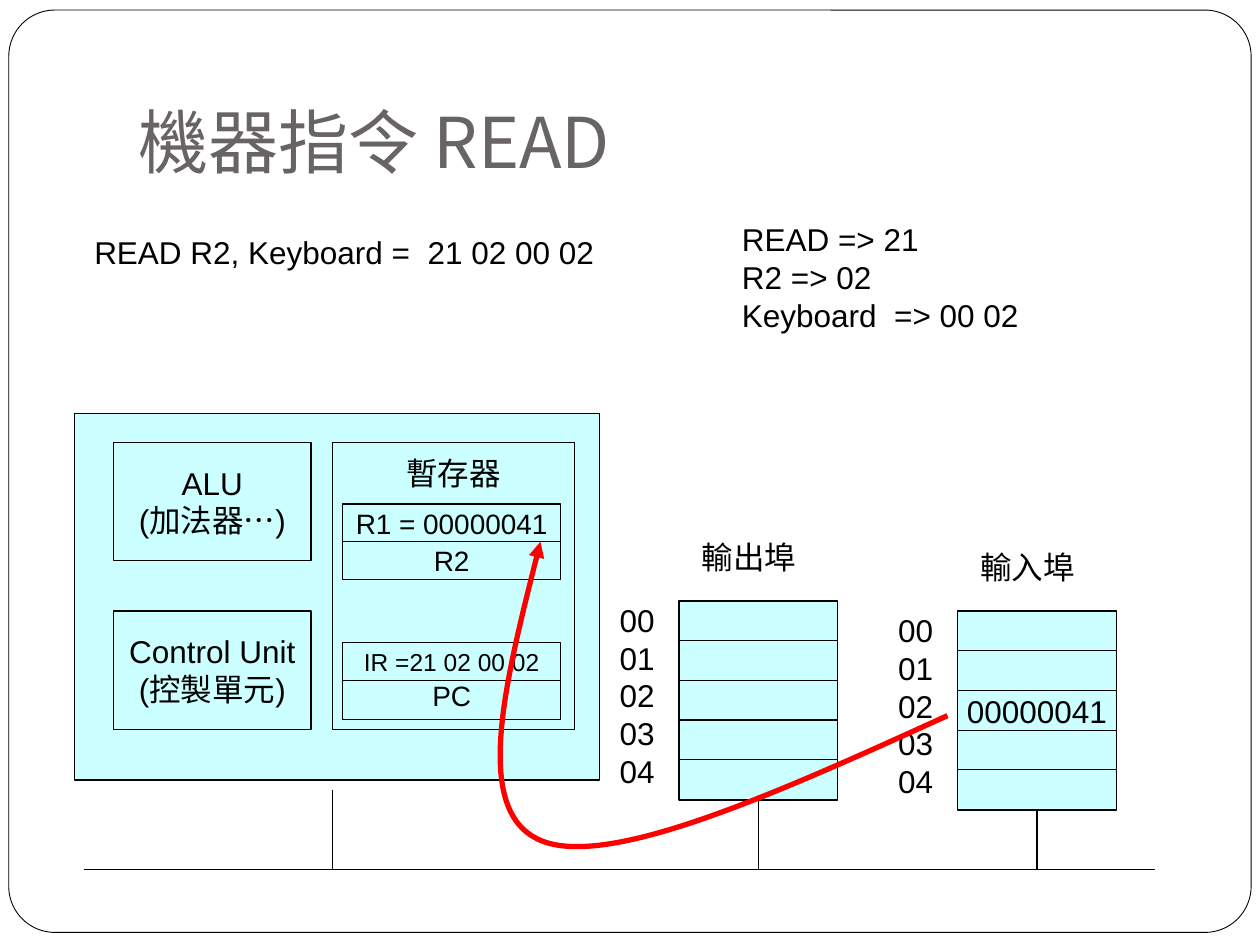
"""Build a slide showing how the READ machine instruction moves data from an input port."""
from lxml import etree
from pptx import Presentation
from pptx.dml.color import RGBColor
from pptx.enum.shapes import MSO_CONNECTOR, MSO_SHAPE
from pptx.enum.text import MSO_ANCHOR, PP_ALIGN
from pptx.oxml.ns import qn
from pptx.util import Inches, Pt

RECTANGLE, ROUNDED = MSO_SHAPE.RECTANGLE, MSO_SHAPE.ROUNDED_RECTANGLE
STRAIGHT = MSO_CONNECTOR.STRAIGHT
TOP, MIDDLE, BOTTOM = MSO_ANCHOR.TOP, MSO_ANCHOR.MIDDLE, MSO_ANCHOR.BOTTOM
LEFT, CENTER = PP_ALIGN.LEFT, PP_ALIGN.CENTER
BLACK = RGBColor(0x00, 0x00, 0x00)
GRAY = RGBColor(0x69, 0x64, 0x64)
CYAN = RGBColor(0xCC, 0xFF, 0xFF)
RED = RGBColor(0xFF, 0x00, 0x00)
LATIN_FONT, CJK_FONT = "Arial", "Noto Sans CJK SC"
BOTTOM_SIDE = 2
BUS_Y = 6.9
CELL_WIDTH, CELL_HEIGHT, CELL_STEP = 1.26, 0.32, 0.315


def write_text(shape, text, size=18, color=BLACK, font=LATIN_FONT, align=LEFT, anchor=TOP,
               wrap=False, margin_top=0.05):
    """Fill a shape with one paragraph per line of text."""
    frame = shape.text_frame
    frame.word_wrap = wrap
    frame.vertical_anchor = anchor
    frame.margin_top = Inches(margin_top)
    frame.text = text
    for paragraph in frame.paragraphs:
        paragraph.alignment = align
        for run in paragraph.runs:
            run.font.size = Pt(size)
            run.font.name = font
            run.font.color.rgb = color
            east_asian = etree.SubElement(run.font._element, qn("a:ea"))
            east_asian.set("typeface", CJK_FONT)


class Diagram:
    """Hold the line style and the current slide."""

    def __init__(self, slide, line_width=0.75):
        """Keep the slide and the common outline width."""
        self.slide = slide
        self.line_width = line_width

    def box(self, left, top, width, height, text="", fill=CYAN, kind=RECTANGLE, **text_format):
        """Add an outlined shape, with centred text if given."""
        shape = self.slide.shapes.add_shape(
            kind, Inches(left), Inches(top), Inches(width), Inches(height))
        shape.shadow.inherit = False
        if fill is None:
            shape.fill.background()
        else:
            shape.fill.solid()
            shape.fill.fore_color.rgb = fill
        shape.line.color.rgb = BLACK
        shape.line.width = Pt(self.line_width)
        if text:
            write_text(shape, text, **{"align": CENTER, "anchor": MIDDLE, **text_format})
        return shape

    def label(self, left, top, width, height, text, **text_format):
        """Add a text box."""
        shape = self.slide.shapes.add_textbox(
            Inches(left), Inches(top), Inches(width), Inches(height))
        write_text(shape, text, **text_format)

    def line(self, start, end, source=None):
        """Add a straight line, joined to the bottom of a source shape if given."""
        connector = self.slide.shapes.add_connector(STRAIGHT, *map(Inches, start + end))
        connector.line.color.rgb = BLACK
        connector.line.width = Pt(self.line_width)
        if source is not None:
            connector.begin_connect(source, BOTTOM_SIDE)
        etree.SubElement(connector._element.spPr, qn("a:effectLst"))

    def curved_arrow(self, points, color, width):
        """Add a cubic curve through every third point, with an arrowhead at its start."""
        start, *others = [(Inches(x), Inches(y)) for x, y in points]
        builder = self.slide.shapes.build_freeform(*start)
        builder.add_line_segments(others, close=False)
        shape = builder.convert_to_shape()
        shape.shadow.inherit = False
        shape.fill.background()
        shape.line.color.rgb = color
        shape.line.width = Pt(width)
        etree.SubElement(shape.line._get_or_add_ln(), qn("a:headEnd"), type="triangle")
        segments = list(shape._element.iter(qn("a:lnTo")))
        for index in range(0, len(segments), 3):
            curve = etree.Element(qn("a:cubicBezTo"))
            segments[index].addprevious(curve)
            for segment in segments[index:index + 3]:
                curve.append(segment[0])
                segment.getparent().remove(segment)

    def port(self, left, top, title, values):
        """Add a titled column of numbered cells and join it to the bus."""
        self.label(left + 0.08, top - 0.55, 0.95, 0.4, title)
        for index, value in enumerate(values):
            cell = self.box(left, top + index * CELL_STEP, CELL_WIDTH, CELL_HEIGHT, value)
        addresses = "\n".join(f"{index:02}" for index in range(len(values)))
        self.label(left - 0.57, top - 0.05, 0.48, 1.6, addresses)
        middle = left + CELL_WIDTH / 2
        bottom = top + (len(values) - 1) * CELL_STEP + CELL_HEIGHT
        self.line((middle, bottom), (middle, BUS_Y), source=cell)


def main():
    """Build and save the slide."""
    presentation = Presentation()
    presentation.slide_width, presentation.slide_height = Inches(10), Inches(7.5)
    slide = presentation.slides.add_slide(presentation.slide_layouts[6])
    diagram = Diagram(slide)

    frame = diagram.box(0.07, 0.08, 9.86, 7.32, fill=None, kind=ROUNDED)
    frame.adjustments[0] = 0.05
    frame.line.width = Pt(0.5)
    diagram.label(1, 0.3, 8.5, 1.2, "機器指令 READ", size=40, color=GRAY,
                  font=CJK_FONT, anchor=BOTTOM, wrap=True)
    diagram.label(0.65, 1.8, 4.17, 0.4, "READ R2, Keyboard =  21 02 00 02")
    diagram.label(5.79, 1.7, 2.6, 1, "READ => 21\nR2 => 02\nKeyboard  => 00 02", wrap=True)

    diagram.box(0.59, 3.28, 4.17, 2.91)
    for top, text in ((3.51, "ALU\n(加法器…)"), (4.85, "Control Unit\n(控製單元)")):
        diagram.box(0.9, top, 1.57, 0.94, text)
    diagram.box(2.64, 3.51, 1.92, 2.28, "暫存器", anchor=TOP, margin_top=0.09)
    registers = (
        (4, 0.3, "R1 = 00000041", 16),
        (4.3, 0.3, "R2", 16),
        (5.32, 0.39, "PC", 16),
        (5.1, 0.3, "IR =21 02 00 02", 14),
    )
    for top, height, text, size in registers:
        diagram.box(2.72, top, 1.73, height, text, size=size)

    diagram.line((0.67, BUS_Y), (9.17, BUS_Y))
    diagram.line((2.64, 6.27), (2.64, BUS_Y))
    diagram.port(5.39, 4.77, "輸出埠", [""] * 5)
    diagram.port(7.6, 4.85, "輸入埠", ["", "", "00000041", "", ""])
    diagram.curved_arrow(
        [(4.29, 4.3), (4.02, 5.37), (3.75, 6.44), (4.29, 6.67),
         (4.83, 6.9), (6.18, 6.29), (7.52, 5.68)], RED, 3)
    presentation.save("out.pptx")


if __name__ == "__main__":
    main()
